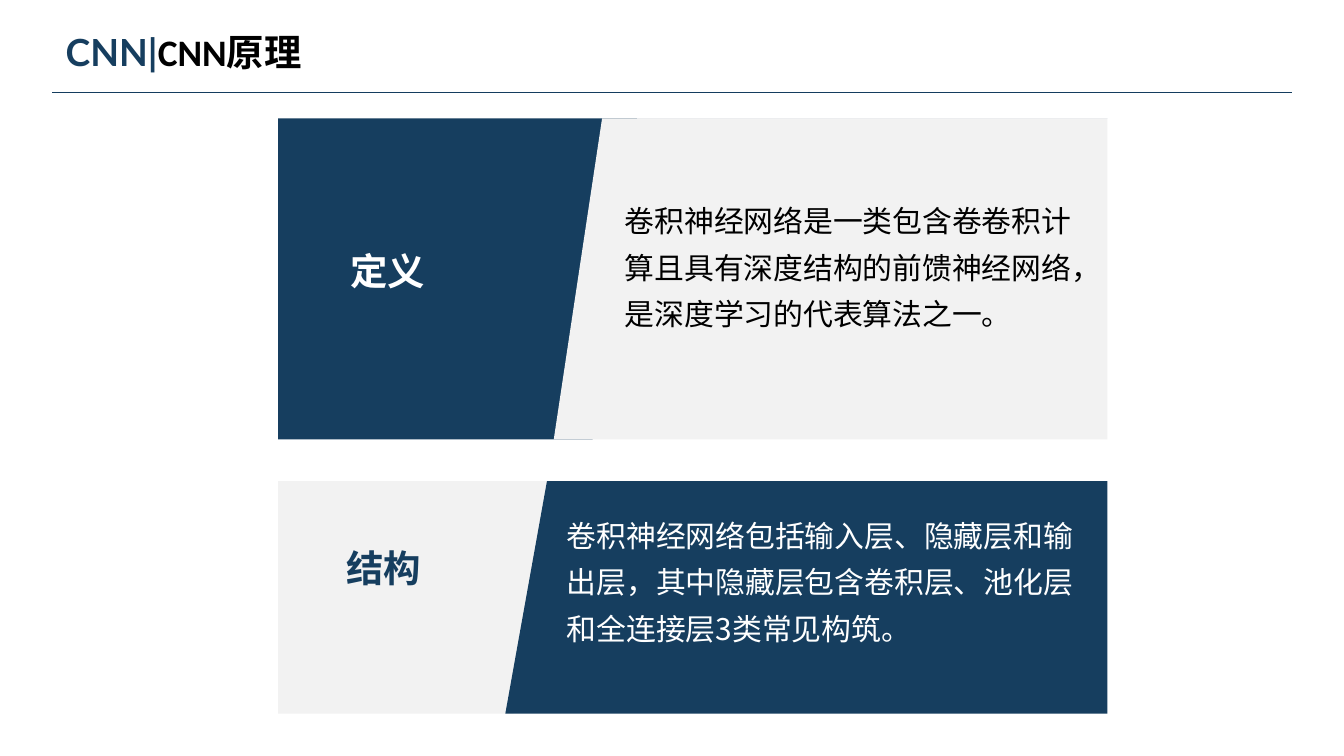
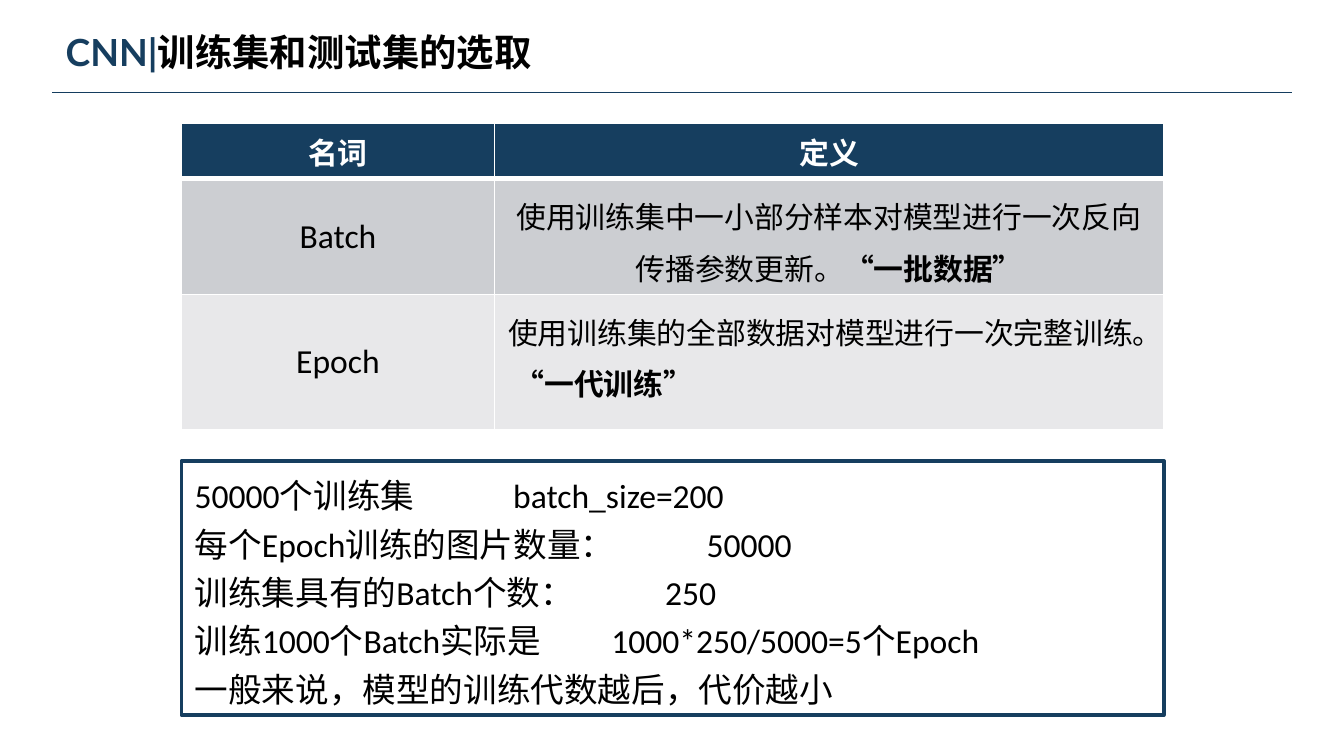
from lxml.etree import SubElement
from pptx import Presentation
from pptx.dml.color import RGBColor
from pptx.enum.shapes import MSO_CONNECTOR, MSO_SHAPE
from pptx.enum.text import MSO_ANCHOR, MSO_AUTO_SIZE, PP_ALIGN
from pptx.oxml import parse_xml
from pptx.oxml.ns import nsdecls, qn
from pptx.util import Inches, Pt

# Shared style
NAVY, RULE, PALE, WHITE, BLACK = "163E5F", "143D5F", "F2F2F2", "FFFFFF", "000000"
ROW_FILLS = [NAVY, "CCCED2", "E8E8EA"]
BODY, HEADING, CJK = "Calibri", "Lato", "Noto Sans CJK SC"


def rgb(value):
    return RGBColor.from_string(value)


def grid(*cells):
    """Turn grid units (100 columns across the slide, square rows) into lengths."""
    return [Inches(cell / 10) for cell in cells]


class Deck:
    def __init__(self):
        self.prs = Presentation()
        self.prs.slide_width, self.prs.slide_height = grid(100, 100 * 9 / 16)
        self.slide = None

    def page(self, topic, title_width):
        """Start a slide with its rule and two-tone title."""
        self.slide = self.prs.slides.add_slide(self.prs.slide_layouts[6])
        self.rule(3.9, 96.1, 6.9)
        self.text((3.9, 1.7, title_width, 4.4),
                  [("CNN|", 20, HEADING, NAVY, True), (topic, 20, BODY, BLACK, True)])

    def rule(self, left, right, row):
        line = self.slide.shapes.add_connector(
            MSO_CONNECTOR.STRAIGHT, *grid(left, row, right, row))
        line.line.color.rgb = rgb(RULE)
        line.line.width = Pt(0.75)
        SubElement(line._element.spPr, qn("a:effectLst"))

    def add_runs(self, paragraph, runs, spacing=None, align=None):
        """Add runs given as (text, size, font, colour, bold)."""
        for words, size, face, colour, bold in runs:
            run = paragraph.add_run()
            run.text = words
            run.font.size, run.font.name, run.font.bold = Pt(size), face, bold
            run.font.color.rgb = rgb(colour)
            east_asian = SubElement(run._r.get_or_add_rPr(), qn("a:ea"))
            east_asian.set("typeface", CJK)
        if spacing:
            paragraph.line_spacing = spacing
        paragraph.alignment = align or PP_ALIGN.LEFT

    def text(self, box, runs, spacing=None):
        frame = self.slide.shapes.add_textbox(*grid(*box)).text_frame
        frame.word_wrap = True
        frame.auto_size = MSO_AUTO_SIZE.SHAPE_TO_FIT_TEXT
        self.add_runs(frame.paragraphs[0], runs, spacing)

    def outline(self, points, fill):
        start, *rest = [grid(*point) for point in points]
        builder = self.slide.shapes.build_freeform(*start)
        builder.add_line_segments(rest, close=True)
        panel = builder.convert_to_shape()
        panel.shadow.inherit = False
        panel.fill.solid()
        panel.fill.fore_color.rgb = rgb(fill)
        panel.line.fill.background()

    def framed_notes(self, box, notes):
        """Outlined box; each note is (text, tab column or None)."""
        frame_box = self.slide.shapes.add_shape(MSO_SHAPE.RECTANGLE, *grid(*box))
        frame_box.shadow.inherit = False
        frame_box.fill.solid()
        frame_box.fill.fore_color.rgb = rgb(WHITE)
        frame_box.line.color.rgb = rgb(NAVY)
        frame_box.line.width = Pt(2)
        frame = frame_box.text_frame
        frame.word_wrap = True
        frame.auto_size = MSO_AUTO_SIZE.SHAPE_TO_FIT_TEXT
        for index, (note, tab) in enumerate(notes):
            paragraph = frame.add_paragraph() if index else frame.paragraphs[0]
            self.add_runs(paragraph, [(note, 18, BODY, BLACK, False)], 1.2)
            if tab:
                stops = SubElement(paragraph._p.get_or_add_pPr(), qn("a:tabLst"))
                SubElement(stops, qn("a:tab"), pos=str(grid(tab)[0]), algn="l")

    def borders(self, cell, top, bottom):
        properties = cell._tc.get_or_add_tcPr()
        for index, (side, points) in enumerate(
                [("L", 1), ("R", 1), ("T", top), ("B", bottom)]):
            properties.insert(index, parse_xml(
                f'<a:ln{side} {nsdecls("a")} w="{Pt(points)}"><a:solidFill>'
                f'<a:srgbClr val="{WHITE}"/></a:solidFill></a:ln{side}>'))

    def table(self, box, columns, rows, content):
        """Content rows hold cells of (runs, spacing, alignment, anchor)."""
        glossary = self.slide.shapes.add_table(
            len(rows), len(columns), *grid(*box)).table
        for column, width in zip(glossary.columns, grid(*columns)):
            column.width = width
        for row, height in zip(glossary.rows, grid(*rows)):
            row.height = height
        for r, entries in enumerate(content):
            for c, (runs, spacing, align, anchor) in enumerate(entries):
                cell = glossary.cell(r, c)
                cell.fill.solid()
                cell.fill.fore_color.rgb = rgb(ROW_FILLS[r])
                cell.vertical_anchor = anchor
                self.borders(cell, 3 if r == 1 else 1, 3 if r == 0 else 1)
                self.add_runs(cell.text_frame.paragraphs[0], runs, spacing, align)


def principle(deck):
    deck.page("CNN原理", 34.3)
    left, right = 20.7, 82.4

    # Definition band
    top, bottom = 8.8, 32.7
    deck.outline([(left, top), (right, top), (47.4, top), (44.1, bottom),
                  (left, bottom)], NAVY)
    deck.outline([(44.8, top), (right, top), (right, bottom), (41.2, bottom)], PALE)
    deck.text((25.1, 18, 19.6, 4.4), [("定义", 20, BODY, WHITE, True)])
    deck.text((45.5, 13.8, 35.5, 14.5), [(
        "卷积神经网络是一类包含卷卷积计算且具有深度结构的前馈神经网络，是深度学习的代表算法之一。",
        16, CJK, BLACK, False)], 1.3)

    # Structure band
    top, bottom = 35.8, 53.1
    deck.outline([(left, top), (41.1, top), (38.2, bottom), (left, bottom)], PALE)
    deck.outline([(40.7, top), (right, top), (right, bottom), (37.6, bottom)], NAVY)
    deck.text((24.8, 40.1, 16.9, 4.4), [("结构", 20, BODY, NAVY, True)])
    deck.text((41.2, 37.2, 41.2, 11.2), [(
        "卷积神经网络包括输入层、隐藏层和输出层，其中隐藏层包含卷积层、池化层和全连接层3类常见构筑。",
        16, CJK, WHITE, False)], 1.3)


def data_selection(deck):
    deck.page("训练集和测试集的选取", 47.6)

    # Glossary of terms
    def header(word):
        return ([(word, 16, BODY, WHITE, True)], None, PP_ALIGN.CENTER, MSO_ANCHOR.TOP)

    def term(word):
        return ([(word, 18, BODY, BLACK, False)], None, PP_ALIGN.CENTER, MSO_ANCHOR.MIDDLE)

    def meaning(words, nickname, align):
        return ([(words, 16, BODY, BLACK, False), (nickname, 16, BODY, BLACK, True)],
                1.2, align, MSO_ANCHOR.TOP)

    deck.table((13.5, 9.2, 73.1, 22.8), [23.3, 49.8], [4.1, 8.6, 10.1], [
        [header("名词"), header("定义")],
        [term("Batch"), meaning("使用训练集中一小部分样本对模型进行一次反向传播参数更新。",
                                "“一批数据”", PP_ALIGN.CENTER)],
        [term("Epoch"), meaning("使用训练集的全部数据对模型进行一次完整训练。 ",
                                "“一代训练”", PP_ALIGN.LEFT)],
    ])

    # Worked example
    deck.framed_notes((13.5, 34.3, 73.1, 18.9), [
        ("50000个训练集\tbatch_size=200", 23.7),
        ("每个Epoch训练的图片数量：\t50000", 38.1),
        ("训练集具有的Batch个数：\t250", 35),
        ("训练1000个Batch实际是\t1000*250/5000=5个Epoch", 31),
        ("一般来说，模型的训练代数越后，代价越小", None),
    ])


def main():
    deck = Deck()
    principle(deck)
    data_selection(deck)
    deck.prs.save("out.pptx")


if __name__ == "__main__":
    main()
